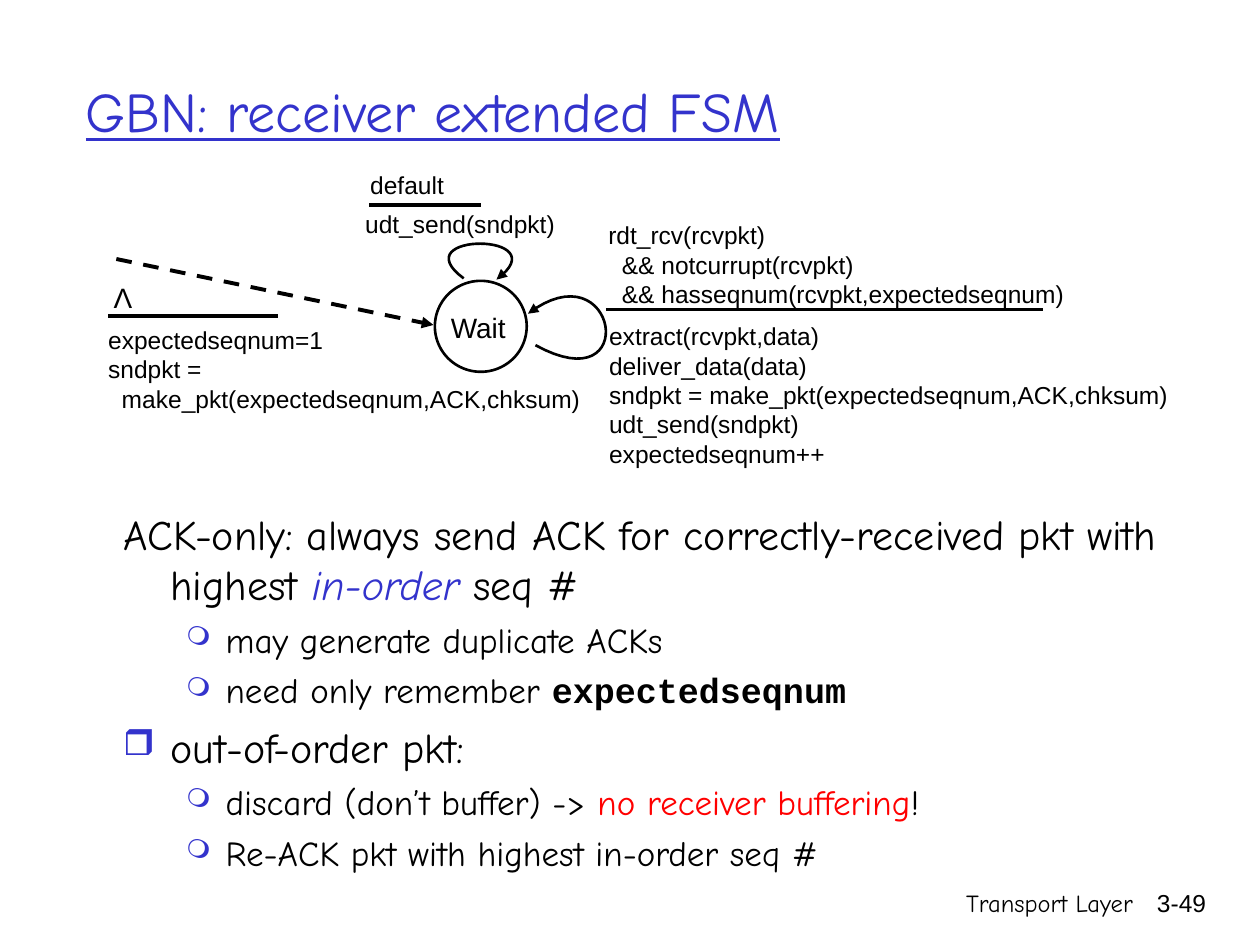
from pptx import Presentation
from pptx.dml.color import RGBColor
from pptx.enum.dml import MSO_LINE
from pptx.enum.shapes import MSO_CONNECTOR, MSO_SHAPE
from pptx.enum.text import MSO_ANCHOR, PP_ALIGN
from pptx.oxml.ns import qn
from pptx.util import Pt
from lxml.etree import SubElement

BLACK = RGBColor(0, 0, 0)
WHITE = RGBColor(0xFF, 0xFF, 0xFF)
BLUE = RGBColor(0x33, 0x33, 0xCC)
RED = RGBColor(0xFF, 0, 0)
SANS, HAND, MONO = "Arial", "Comic Neue", "Courier New"
LEFT, CENTER, RIGHT = PP_ALIGN.LEFT, PP_ALIGN.CENTER, PP_ALIGN.RIGHT

prs = Presentation()
prs.slide_width, prs.slide_height = Pt(720), Pt(540)
s = prs.slides.add_slide(prs.slide_layouts[6])


def add_text(text, x, y, w, h, size=14, font=SANS, color=BLACK, align=LEFT):
    """Add a text box with one paragraph per line and return its text frame."""
    tf = s.shapes.add_textbox(Pt(x), Pt(y), Pt(w), Pt(h)).text_frame
    tf.word_wrap = True
    tf.text = text
    for p in tf.paragraphs:
        p.alignment = align
        for r in p.runs:
            r.font.size, r.font.name = Pt(size), font
            r.font.color.rgb = color
    return tf


def style_line(sp, width, arrow=False):
    """Give a line or curve its black stroke and, if asked, an arrowhead."""
    sp.line.color.rgb = BLACK
    sp.line.width = Pt(width)
    if arrow:
        SubElement(sp.line._get_or_add_ln(), qn("a:tailEnd"), type="triangle")


# Footer and title
add_text("Transport Layer", 426, 504, 228.5, 36, font=HAND, align=RIGHT)
add_text("3-49", 643, 504, 53.3, 36, align=RIGHT)
title = add_text("GBN: receiver extended FSM", 42, 18, 612, 90, 32, HAND, BLUE)
title.vertical_anchor = MSO_ANCHOR.MIDDLE
title.paragraphs[0].runs[0].font.underline = True

# Notes below the diagram: (level, bullet, runs of text, colour, style)
notes = [
    (0, None, [("ACK-only: always send ACK for correctly-received pkt with highest ", BLACK, None),
               ("in-order", BLUE, "italic"), (" seq #", BLACK, None)]),
    (1, "❍", [("may generate duplicate ACKs", BLACK, None)]),
    (1, "❍", [("need only remember ", BLACK, None), ("expectedseqnum", BLACK, "code")]),
    (0, "❒", [("out-of-order pkt:", BLACK, None)]),
    (1, "❍", [("discard (don’t buffer) -> ", BLACK, None),
              ("no receiver buffering", RED, None), ("!", BLACK, None)]),
    (1, "❍", [("Re-ACK pkt with highest in-order seq #", BLACK, None)]),
]
# Per level: text size, space before, left margin, hanging indent, bullet percent
levels = [(24, 6, 27, 27, 85), (20, 5, 58.5, 22.5, 75)]

tf = s.shapes.add_textbox(Pt(63.3), Pt(287), Pt(641.5), Pt(224.6)).text_frame
tf.word_wrap = True
for i, (level, bullet, runs) in enumerate(notes):
    size, before, margin, hang, percent = levels[level]
    p = tf.add_paragraph() if i else tf.paragraphs[0]
    p.level = level
    pPr = p._p.get_or_add_pPr()
    pPr.set("marL", str(Pt(margin)))
    pPr.set("indent", str(-Pt(hang)))
    if bullet:
        SubElement(SubElement(pPr, qn("a:buClr")), qn("a:srgbClr"), val=str(BLUE))
        SubElement(pPr, qn("a:buSzPct"), val=str(percent * 1000))
        SubElement(pPr, qn("a:buChar"), char=bullet)
    else:
        SubElement(pPr, qn("a:buNone"))
    if i:
        p.space_before = Pt(before)
    for text, color, style in runs:
        r = p.add_run()
        r.text = text
        r.font.size, r.font.color.rgb = Pt(size), color
        r.font.name = MONO if style == "code" else HAND
        r.font.bold = style == "code"
        r.font.italic = style == "italic"

# State
state = s.shapes.add_shape(MSO_SHAPE.OVAL, Pt(248.5), Pt(160.5), Pt(52.5), Pt(52))
state.shadow.inherit = False
state.fill.solid()
state.fill.fore_color.rgb = WHITE
style_line(state, 1.5)
add_text("Wait", 242, 174, 62.5, 19, 16, align=CENTER)

# Start arrow and the bars between events and actions
for x1, y1, x2, y2, width, is_start in [
    (66.5, 148, 247.7, 185.7, 2.25, True),
    (211, 117.2, 275, 117.2, 2.25, False),
    (346.2, 177, 596, 177, 1.5, False),
    (62, 180.7, 159, 180.7, 2.25, False),
]:
    line = s.shapes.add_connector(MSO_CONNECTOR.STRAIGHT, Pt(x1), Pt(y1), Pt(x2), Pt(y2))
    style_line(line, width, is_start)
    if is_start:
        line.line.dash_style = MSO_LINE.DASH
    SubElement(line._element.spPr, qn("a:effectLst"))

# Self-transitions as cubic curves: start, two controls, end
STEPS = 32
for curve in [
    [(306, 197.3), (367.2, 231), (352.8, 140.4), (301.7, 179.3)],
    [(265, 159.1), (229, 132.5), (320.4, 132.5), (283.7, 159.8)],
]:
    points = []
    for step in range(STEPS + 1):
        t = step / STEPS
        weights = ((1 - t) ** 3, 3 * t * (1 - t) ** 2, 3 * t ** 2 * (1 - t), t ** 3)
        points.append(tuple(Pt(sum(k * v for k, v in zip(weights, axis)))
                            for axis in zip(*curve)))
    builder = s.shapes.build_freeform(*points[0])
    builder.add_line_segments(points[1:], close=False)
    loop = builder.convert_to_shape()
    loop.shadow.inherit = False
    loop.fill.background()
    style_line(loop, 1.5, True)

# Events and actions
add_text("default", 204.5, 93.6, 64, 19.5)
add_text("udt_send(sndpkt)", 201.6, 116, 127.5, 24.5)
add_text("rdt_rcv(rcvpkt)\n  && notcurrupt(rcvpkt)\n"
         "  && hasseqnum(rcvpkt,expectedseqnum)", 340.5, 122.4, 281, 44.6)
add_text("extract(rcvpkt,data)\ndeliver_data(data)\n"
         "sndpkt = make_pkt(expectedseqnum,ACK,chksum)\n"
         "udt_send(sndpkt)\nexpectedseqnum++", 341, 180, 340, 67.7)
add_text("expectedseqnum=1\nsndpkt =\n"
         "  make_pkt(expectedseqnum,ACK,chksum)", 54.7, 182, 286.6, 77)
add_text("Λ", 57.6, 157, 25.2, 26.6, 16, align=CENTER).word_wrap = False

prs.save("out.pptx")
